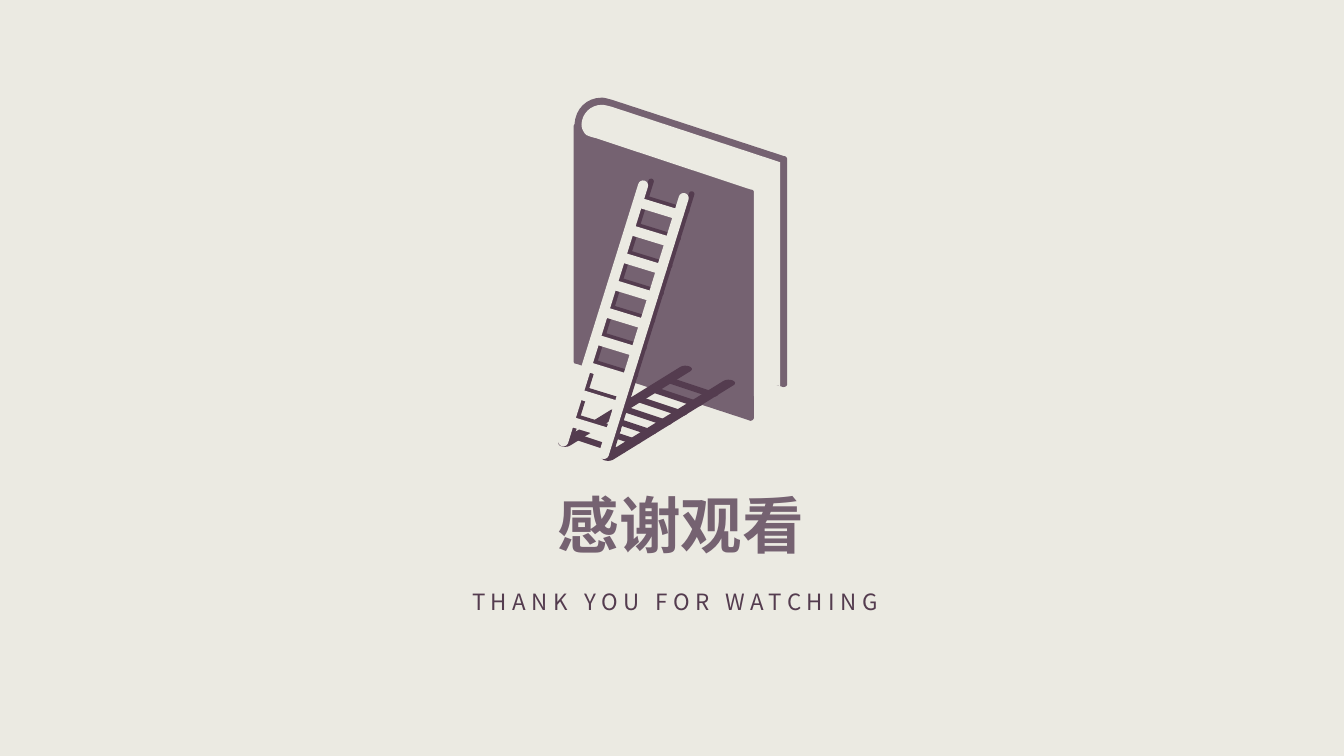
from math import atan2, cos, pi, sin

from lxml.etree import SubElement
from pptx import Presentation
from pptx.dml.color import RGBColor
from pptx.enum.text import MSO_AUTO_SIZE, PP_ALIGN
from pptx.oxml.ns import qn
from pptx.util import Pt

FONT = "Noto Sans CJK SC"
CREAM = "EBEAE2"
MAUVE = "756271"
PLUM = "543C4F"

# An entry of two numbers is a corner; one of six is a cubic curve.
COVER = [
    (560.2, 111.6), (437, 71.3),
    (434.2, 70.6, 432, 69.8, 429.8, 69.8),
    (419, 69.8, 411.1, 77.8, 410.4, 88.6),
    (409.7, 90), (409.7, 257.8),
    (409.7, 259.2, 410.4, 259.9, 411.8, 259.9),
    (535, 300.2),
    (536, 301.2, 538.6, 300.2, 538.6, 298.1),
    (538.6, 270), (559.4, 276.5),
    (560.9, 276.5, 562.3, 275.8, 562.3, 274.3),
    (562.3, 113.8),
    (562.3, 113, 561.6, 111.6, 560.2, 111.6),
]
PAGES = [
    (538.6, 137.5), (538.6, 283),
    (540.7, 277.9, 545.8, 275, 551.5, 275),
    (553, 275, 555.1, 275, 557.3, 275.8),
    (557.3, 115.9), (437, 76.3),
    (434.2, 75.6, 432, 74.9, 429.8, 74.9),
    (421.9, 74.9, 415.4, 81.4, 415.4, 89.3),
    (415.4, 91.4, 416.9, 95, 419, 96.5),
    (421.9, 97.9, 425.5, 98.6, 425.5, 98.6),
    (536.4, 135.4),
    (537.8, 135.4, 538.6, 136.1, 538.6, 137.5),
]


def color(hex_value):
    return RGBColor.from_string(hex_value)


def flatten(outline, steps=8):
    """Turn corners and cubic curves into a plain list of points."""
    points = []
    for entry in outline:
        if len(entry) == 2:
            points.append(entry)
            continue
        (x0, y0), (x1, y1, x2, y2, x3, y3) = points[-1], entry
        for i in range(1, steps + 1):
            t = i / steps
            a, b, c, d = (1 - t) ** 3, 3 * t * (1 - t) ** 2, 3 * t * t * (1 - t), t ** 3
            points.append((a * x0 + b * x1 + c * x2 + d * x3,
                           a * y0 + b * y1 + c * y2 + d * y3))
    return points


def add_outline(shapes, points, fill):
    corners = [(Pt(x), Pt(y)) for x, y in points]
    builder = shapes.build_freeform(*corners[0])
    builder.add_line_segments(corners[1:], close=True)
    outline = builder.convert_to_shape()
    outline.shadow.inherit = False
    outline.fill.solid()
    outline.fill.fore_color.rgb = color(fill)
    outline.line.fill.background()


def add_bar(shapes, start, reach, tip, fill, steps=8):
    """Draw the area an ellipse with radii tip sweeps from start along reach."""
    (x, y), (dx, dy), (rx, ry) = start, reach, tip
    first = atan2(-ry * dx, rx * dy)
    points = []
    for half, (cx, cy) in enumerate([(x, y), (x + dx, y + dy)]):
        for i in range(steps + 1):
            angle = first - pi * (half + 1 - i / steps)
            points.append((cx + rx * cos(angle), cy + ry * sin(angle)))
    add_outline(shapes, points, fill)


def add_ladder(shapes, top, lean, span, rung, rung_reach, step, count,
               rail_tip, rung_tip, fill):
    """Draw two rails, span apart, and count rungs that move by step."""
    for side in range(2):
        rail = (top[0] + side * span[0], top[1] + side * span[1])
        add_bar(shapes, rail, lean, rail_tip, fill)
    for i in range(count):
        start = (rung[0] + i * step[0], rung[1] + i * step[1])
        add_bar(shapes, start, rung_reach, rung_tip, fill)


def add_caption(slide, box, wording, size, fill, bold=False, spacing=0):
    caption = slide.shapes.add_textbox(*map(Pt, box))
    frame = caption.text_frame
    frame.text = wording
    frame.word_wrap = False
    frame.auto_size = MSO_AUTO_SIZE.SHAPE_TO_FIT_TEXT
    paragraph = frame.paragraphs[0]
    paragraph.alignment = PP_ALIGN.CENTER
    font = paragraph.runs[0].font
    font.name, font.size, font.bold = FONT, Pt(size), bold
    font.color.rgb = color(fill)
    properties = paragraph.runs[0]._r.get_or_add_rPr()
    SubElement(properties, qn("a:ea")).set("typeface", FONT)
    if spacing:
        properties.set("spc", str(spacing * 100))


def main():
    deck = Presentation()
    deck.slide_width, deck.slide_height = Pt(960), Pt(540)
    slide = deck.slides.add_slide(deck.slide_layouts[6])
    slide.background.fill.solid()
    slide.background.fill.fore_color.rgb = color(CREAM)

    add_caption(slide, (390.2, 344.2, 192.2, 60.5), "感谢观看", 44, MAUVE, bold=True)
    add_caption(slide, (316.1, 416.9, 332.6, 26.6), "THANK YOU FOR WATCHING",
                16, PLUM, spacing=4)

    book = slide.shapes.add_group_shape().shapes
    add_outline(book, flatten(COVER), MAUVE)
    # Shadow on the cover, shadow on the ground, then the ladder itself
    add_ladder(book, (465.1, 129.6), (-57, 182.3), (29, 9),
               (462.4, 142), (28.2, 8.7), (-6.12, 19.55), 9,
               (1.95, 1.95), (1.95, 1.95), PLUM)
    add_ladder(book, (489.6, 263.6), (-86, 53.2), (30.8, 10),
               (478.6, 271.8), (30, 10), (-11.03, 6.74), 7,
               (4.7, 2.4), (4.3, 1.8), PLUM)
    add_ladder(book, (459.4, 132.5), (-57, 182.8), (29, 9),
               (456.1, 144.6), (28.5, 8.7), (-6.12, 19.55), 9,
               (3.6, 3.6), (3.6, 3.6), CREAM)
    add_outline(book, flatten(PAGES), CREAM)

    deck.save("out.pptx")


if __name__ == "__main__":
    main()
